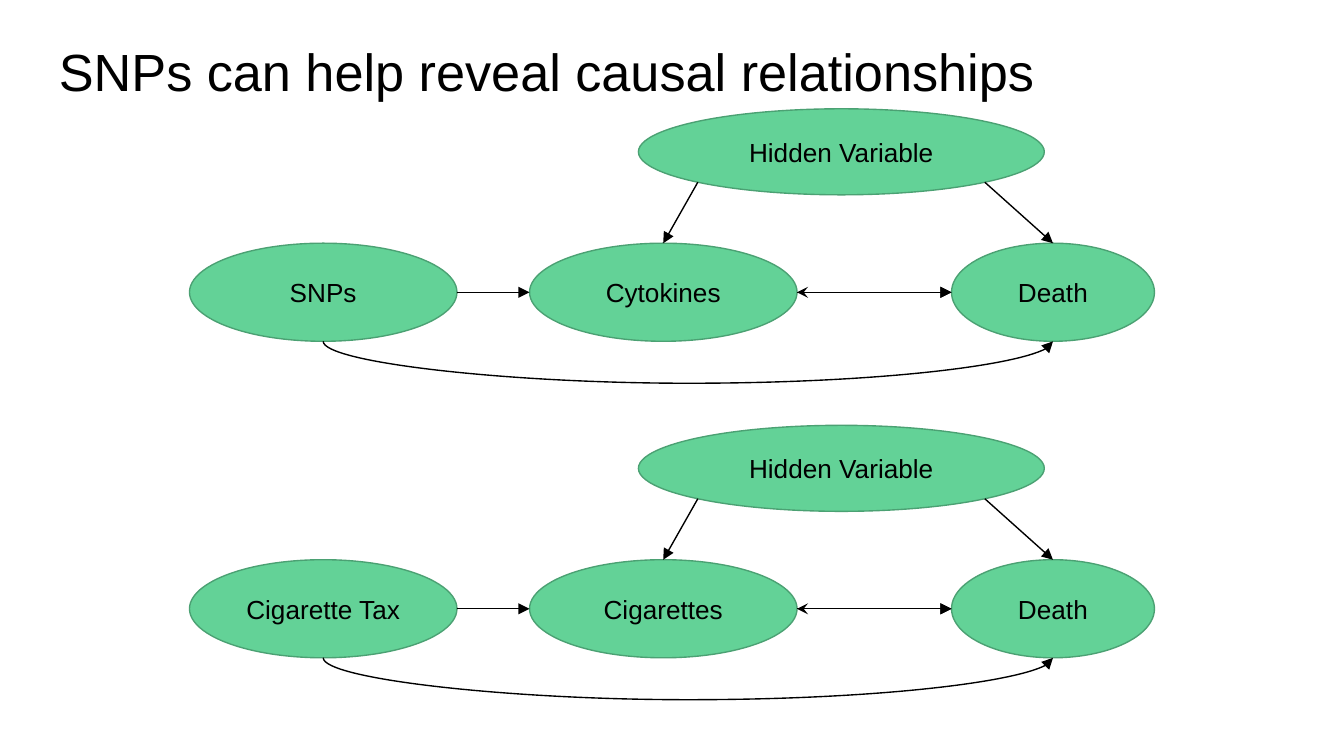
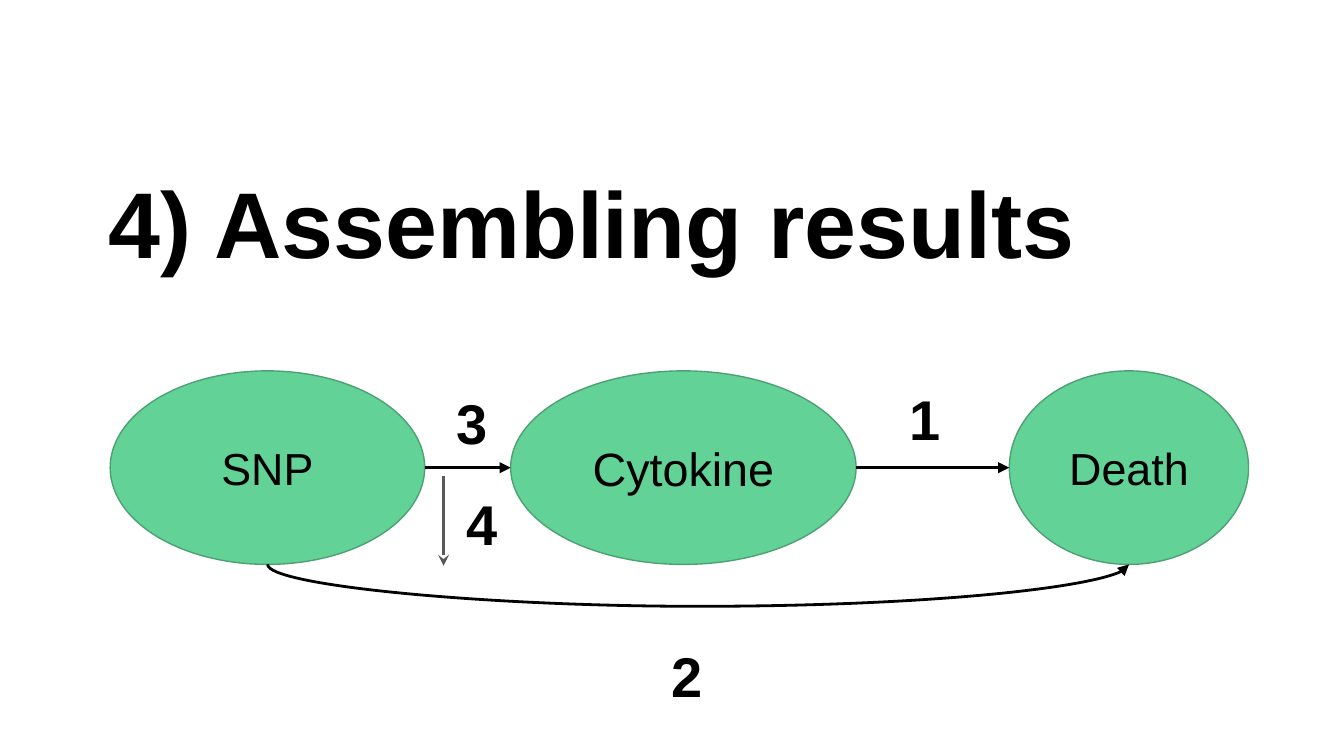
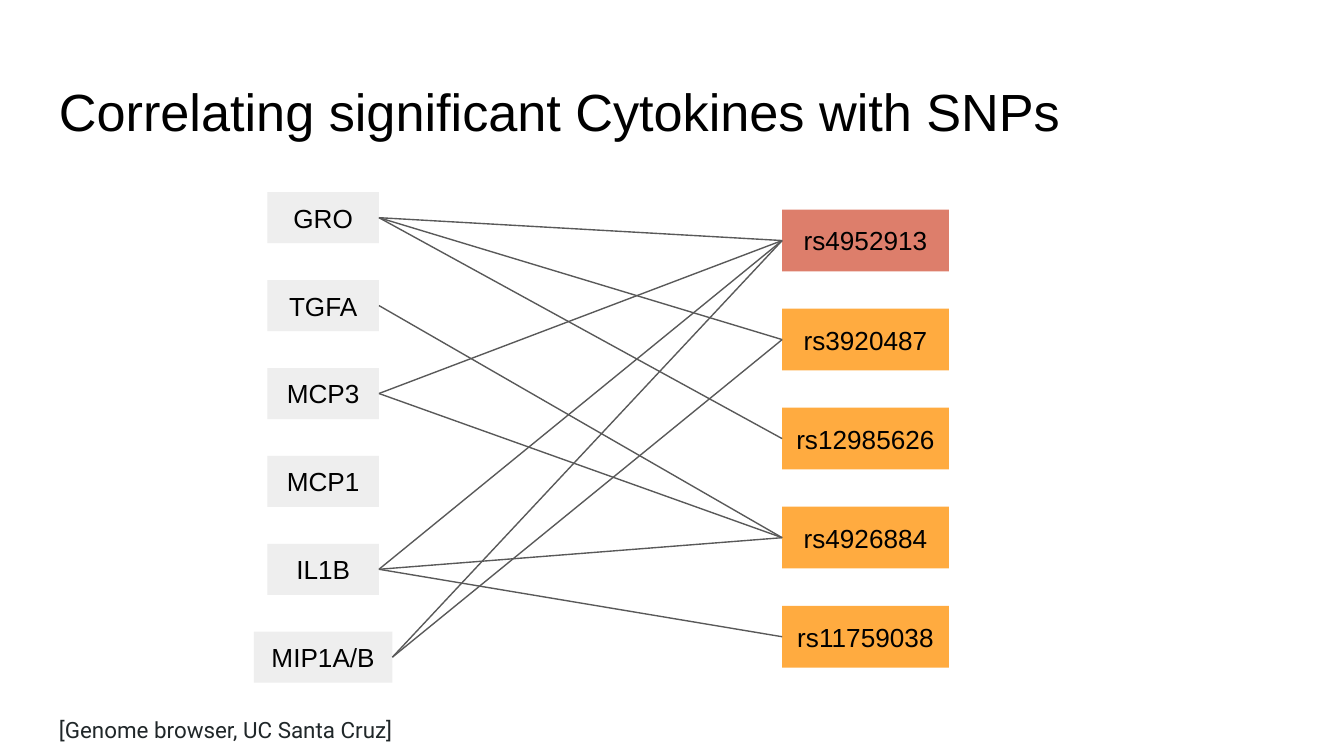
import math
from collections import namedtuple

import pptx
import pptx.dml.color
import pptx.enum.dml
import pptx.enum.shapes
import pptx.enum.text
import pptx.oxml.ns
import pptx.util
from lxml import etree

COLORS = {
    "background": "FFFFFF",
    "text": "000000",
    "node": "63D297",
    "node_line": "4BA173",
    "arrow": "000000",
    "link": "595959",
    "cytokine": "EEEEEE",
    "snp": "FFAB40",
    "top_snp": "DD7E6B",
    "source": "202729",
}
FONT = "Arial"
CELL = pptx.util.Inches(0.1)
SHAPES = pptx.enum.shapes.MSO_SHAPE
CONNECTORS = pptx.enum.shapes.MSO_CONNECTOR
ANCHORS = pptx.enum.text.MSO_ANCHOR
ALIGN = pptx.enum.text.PP_ALIGN
ELLIPSE_SITES = {"top": 0, "left": 2, "lower left": 3, "bottom": 4, "lower right": 5, "right": 6}
RECTANGLE_SITES = {"left": 1, "right": 3}
CURVE_THICKNESS = 600
CURVE_DEPTH = 39687500

Box = namedtuple("Box", "left top width height")


def cells(count):
    """Convert a number of grid cells to a length."""
    return pptx.util.Emu(round(count * CELL))


def inside(box, left, top, width, height):
    """Return a box placed relative to its parent box."""
    return Box(box.left + left, box.top + top, width, height)


def rgb(name):
    """Look up a palette colour."""
    return pptx.dml.color.RGBColor.from_string(COLORS[name])


def new_slide(presentation):
    """Add a blank slide with the shared background."""
    slide = presentation.slides.add_slide(presentation.slide_layouts[6])
    slide.background.fill.solid()
    slide.background.fill.fore_color.rgb = rgb("background")
    return slide


def write(shape, text, size, color="text", font=FONT, bold=False, align=ALIGN.LEFT, anchor=ANCHORS.TOP):
    """Fill a shape with one styled paragraph."""
    frame = shape.text_frame
    frame.word_wrap = True
    frame.vertical_anchor = anchor
    frame.margin_left = frame.margin_right = frame.margin_top = frame.margin_bottom = cells(1)
    paragraph = frame.paragraphs[0]
    paragraph.text = text
    paragraph.alignment = align
    paragraph.font.name = font
    paragraph.font.size = pptx.util.Pt(size)
    paragraph.font.bold = bold
    paragraph.font.color.rgb = rgb(color)


def add_text(slide, box, text, size, **style):
    """Add a text box."""
    write(slide.shapes.add_textbox(*map(cells, box)), text, size, **style)


def add_title(slide, top, text):
    """Add the shared title line."""
    add_text(slide, Box(3.4, top, 93.2, 6.3), text, 28)


def add_node(slide, box, text, size=14, kind=SHAPES.OVAL, fill="node", line="node_line"):
    """Add a filled shape with a centred label."""
    shape = slide.shapes.add_shape(kind, *map(cells, box))
    shape.shadow.inherit = False
    shape.fill.solid()
    shape.fill.fore_color.rgb = rgb(fill)
    if line:
        shape.line.color.rgb = rgb(line)
        shape.line.width = pptx.util.Pt(0.75)
    else:
        shape.line.fill.background()
    write(shape, text, size, align=ALIGN.CENTER, anchor=ANCHORS.MIDDLE)
    return shape


def site_point(shape, site, sites):
    """Locate a connection site, counted anticlockwise from the top."""
    count = 4 if sites is RECTANGLE_SITES else 8
    angle = sites[site] * 2 * math.pi / count
    reach = 1 if count == 8 else 1 / max(abs(math.sin(angle)), abs(math.cos(angle)))
    x = shape.left + shape.width / 2 * (1 - reach * math.sin(angle))
    y = shape.top + shape.height / 2 * (1 - reach * math.cos(angle))
    return round(x), round(y)


def add_line(slide, start, end, color="arrow", weight=0.75, head=None, tail="triangle", dashed=False,
             kind=CONNECTORS.STRAIGHT):
    """Draw a line between two points with optional arrowheads."""
    connector = slide.shapes.add_connector(kind, *start, *end)
    connector.line.color.rgb = rgb(color)
    connector.line.width = pptx.util.Pt(weight)
    if dashed:
        connector.line.dash_style = pptx.enum.dml.MSO_LINE.DASH
    properties = connector._element.spPr
    line = properties.find(pptx.oxml.ns.qn("a:ln"))
    for tag, arrow in (("a:headEnd", head), ("a:tailEnd", tail)):
        if arrow:
            etree.SubElement(line, pptx.oxml.ns.qn(tag), type=arrow)
    etree.SubElement(properties, pptx.oxml.ns.qn("a:effectLst"))
    return connector


def link(slide, start, start_site, end, end_site, sites=ELLIPSE_SITES, **style):
    """Join sites of two shapes with an attached connector."""
    connector = add_line(slide, site_point(start, start_site, sites), site_point(end, end_site, sites), **style)
    attachments = connector._element.nvCxnSpPr.cNvCxnSpPr
    for tag, shape, site in (("a:stCxn", start, start_site), ("a:endCxn", end, end_site)):
        etree.SubElement(attachments, pptx.oxml.ns.qn(tag), id=str(shape.shape_id), idx=str(sites[site]))
    return connector


def link_below(slide, start, end, weight):
    """Join the bottoms of two shapes with a sagging curve."""
    connector = link(slide, start, "bottom", end, "bottom", weight=weight, kind=CONNECTORS.CURVE)
    span, middle, base = connector.width, connector.left + connector.width // 2, connector.top
    connector.left, connector.top = middle - CURVE_THICKNESS // 2, base - span // 2
    connector.width, connector.height = CURVE_THICKNESS, span
    properties = connector._element.spPr
    frame = properties.find(pptx.oxml.ns.qn("a:xfrm"))
    frame.set("rot", "16200000")
    frame.set("flipH", "1")
    adjustments = properties.find(".//" + pptx.oxml.ns.qn("a:avLst"))
    etree.SubElement(adjustments, pptx.oxml.ns.qn("a:gd"), name="adj1", fmla=f"val {CURVE_DEPTH}")


def add_chain(slide, box, labels, columns, sizes, weight):
    """Draw cause, middle and outcome in a row with the cause's two arrows."""
    cause, middle, outcome = (
        add_node(slide, inside(box, left, 0, width, box.height), label, size)
        for label, (left, width), size in zip(labels, columns, sizes)
    )
    link(slide, cause, "right", middle, "left", weight=weight)
    link_below(slide, cause, outcome, weight)
    return middle, outcome


def add_confounded_chain(slide, box, labels):
    """Draw a chain whose middle and outcome share a hidden variable."""
    row = inside(box, 0, 10, box.width, 7.3)
    columns = [(0, 19.9), (25.3, 19.9), (56.7, 15.1)]
    middle, outcome = add_chain(slide, row, labels, columns, [14] * 3, 0.75)
    hidden = add_node(slide, inside(box, 33.4, 0, 30.2, 6.4), "Hidden Variable",
                      kind=SHAPES.FLOWCHART_CONNECTOR)
    link(slide, hidden, "lower left", middle, "top")
    link(slide, hidden, "lower right", outcome, "top")
    link(slide, middle, "right", outcome, "left", head="stealth", dashed=True)
    link(slide, middle, "right", outcome, "left")


def build_causal_slide(presentation):
    """Compare two parallel causal diagrams."""
    slide = new_slide(presentation)
    add_title(slide, 1.9, "SNPs can help reveal causal relationships")
    for top, cause, middle in ((8.1, "SNPs", "Cytokines"), (31.65, "Cigarette Tax", "Cigarettes")):
        add_confounded_chain(slide, Box(14.1, top, 71.8, 20), (cause, middle, "Death"))


def build_section_slide(presentation):
    """Show the numbered steps on one causal chain."""
    slide = new_slide(presentation)
    add_text(slide, Box(7.1, 11.3, 85.8, 13.9), "4) Assembling results", 50, bold=True)
    box = Box(8.2, 27.6, 84.7, 14.4)
    columns = [(0, 23.4), (29.8, 25.7), (66.9, 17.8)]
    middle, outcome = add_chain(slide, box, ("SNP", "Cytokine", "Death"), columns, (24, 25, 24), 1.5)
    link(slide, middle, "right", outcome, "left", weight=1.5)
    for step, left, top in (("1", 58.5, 0), ("3", 24.8, 0.3), ("2", 40.8, 19.1), ("4", 25.5, 7.8)):
        add_text(slide, inside(box, left, top, 3.6, 4.1), step, 30, bold=True)
    x = cells(box.left + 24.8)
    add_line(slide, (x, cells(box.top + 7.8)), (x, cells(box.top + 14.5)), "link", 1.5, tail="stealth")


def add_column(slide, box, pitch, labels, fills, widths):
    """Stack centred rectangles and return them by label."""
    return {
        label: add_node(slide, inside(box, (box.width - width) / 2, index * pitch, width, box.height), label,
                        kind=SHAPES.RECTANGLE, fill=fill, line=None)
        for index, (label, fill, width) in enumerate(zip(labels, fills, widths))
    }


def build_correlation_slide(presentation):
    """Link cytokines to the SNPs they correlate with."""
    slide = new_slide(presentation)
    add_title(slide, 4.9, "Correlating significant Cytokines with SNPs")
    correlations = {
        "GRO": ("rs4952913", "rs3920487", "rs12985626"),
        "TGFA": ("rs4926884",),
        "MCP3": ("rs4926884", "rs4952913"),
        "MCP1": (),
        "IL1B": ("rs4952913", "rs11759038", "rs4926884"),
        "MIP1A/B": ("rs4952913", "rs3920487"),
    }
    snp_names = ("rs4952913", "rs3920487", "rs12985626", "rs4926884", "rs11759038")
    cytokines = add_column(slide, Box(19.9, 14.3, 8.3, 3.8), 6.54, correlations,
                           ["cytokine"] * 6, [8.3] * 5 + [10.3])
    snps = add_column(slide, Box(58.2, 15.6, 12.4, 4.6), 7.37, snp_names,
                      ["top_snp"] + ["snp"] * 4, [12.4] * 5)
    for cytokine, partners in correlations.items():
        for snp in partners:
            link(slide, cytokines[cytokine], "right", snps[snp], "left", RECTANGLE_SITES,
                 color="link", tail=None)
    add_text(slide, Box(3.4, 52.8, 31.5, 3), "[Genome browser, UC Santa Cruz]", 12,
             color="source", font="Roboto", anchor=ANCHORS.MIDDLE)


def main():
    """Build and save the presentation."""
    presentation = pptx.Presentation()
    presentation.slide_width = cells(100)
    presentation.slide_height = cells(56.25)
    build_causal_slide(presentation)
    build_section_slide(presentation)
    build_correlation_slide(presentation)
    presentation.save("out.pptx")


if __name__ == "__main__":
    main()
